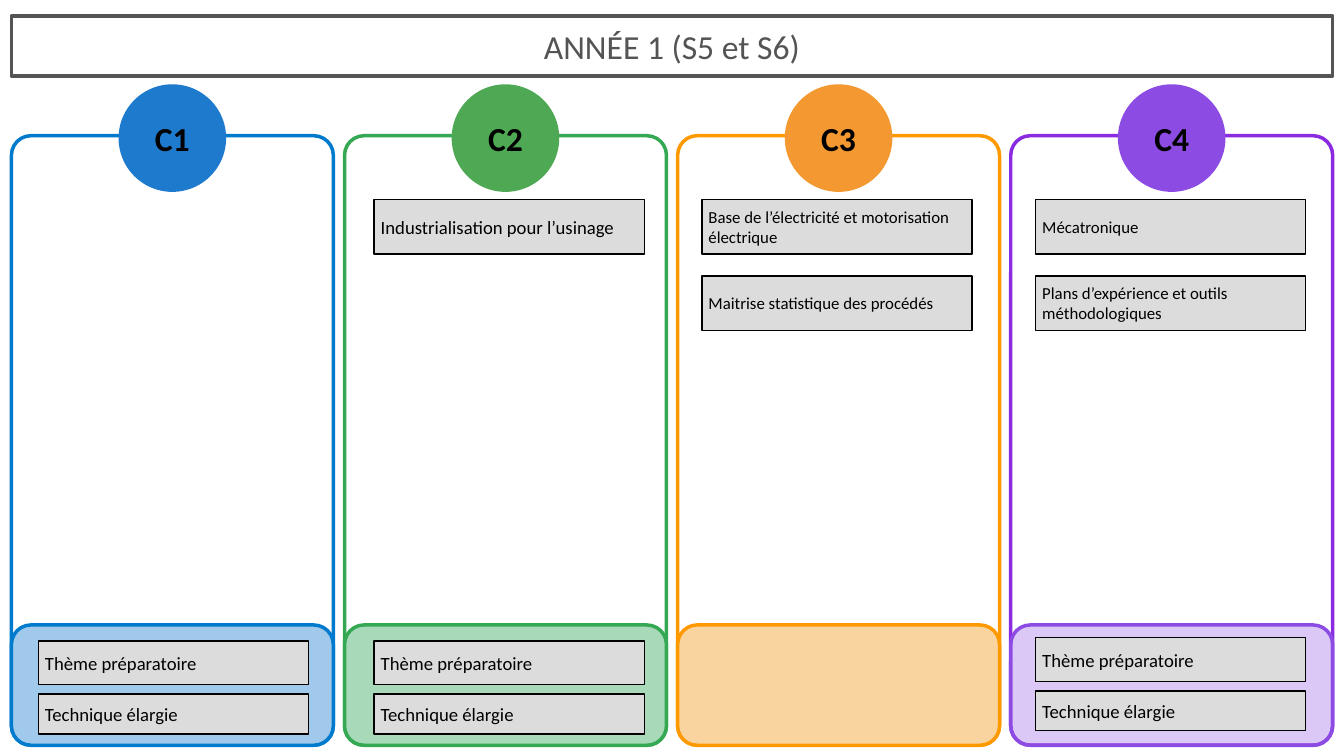
from lxml import etree
from pptx import Presentation
from pptx import util as u
from pptx.dml.color import RGBColor
from pptx.enum import shapes, text
from pptx.oxml.ns import qn

COLORS = {
    "title": "545454",
    "text": "000000",
    "card": "DDDCDC",
    "card_line": "000000",
}
COLUMNS = [
    {"name": "C1", "frame": "007ACC", "badge": "1E7ACC", "base": "A0C9EB", "card_inset": 0.4},
    {"name": "C2", "frame": "34A853", "badge": "4FA954", "base": "A8DAB9", "card_inset": 0.44,
     "courses": [("Industrialisation pour l’usinage", 20)]},
    {"name": "C3", "frame": "FF9900", "badge": "F49831", "base": "FAD49E", "card_inset": 0.36,
     "courses": [("Base de l’électricité et motorisation électrique", 18),
                 ("Maitrise statistique des procédés", 18)]},
    {"name": "C4", "frame": "8A2BE2", "badge": "8C4BE2", "base": "8C4BE2", "card_inset": 0.37,
     "base_line": "8C4BE2", "base_alpha": 30,
     "courses": [("Mécatronique", 18),
                 ("Plans d’expérience et outils méthodologiques", 18)]},
]
THEMES = [("Thème préparatoire", 0, 0.65), ("Technique élargie", 0.79, 0.59)]
THEME_TOPS = {"C1": 9.54, "C2": 9.54, "C4": 9.49}

SLIDE_WIDTH, SLIDE_HEIGHT = 20, 11.25
MARGIN = 0.17
COLUMN_PITCH = 4.957
COLUMN_WIDTH = 4.79
COLUMN_TOP, BASE_TOP, COLUMN_BOTTOM = 2.02, 9.3, 11.09
CORNER_RADIUS = 0.29
BADGE_SIZE = 1.57
CARD_WIDTH, CARD_HEIGHT = 4.02, 0.81
COURSE_TOP, COURSE_PITCH = 2.97, 1.135


def add_box(slide, kind, left, top, width, height, line, weight, fill=None, alpha=None):
    shape = slide.shapes.add_shape(
        kind, u.Inches(left), u.Inches(top), u.Inches(width), u.Inches(height))
    shape.shadow.inherit = False
    shape.line.color.rgb = RGBColor.from_string(line)
    shape.line.width = u.Pt(weight)
    if fill:
        shape.fill.solid()
        shape.fill.fore_color.rgb = RGBColor.from_string(fill)
    else:
        shape.fill.background()
    if alpha:
        color = shape.fill._xPr.find(qn("a:solidFill"))[0]
        etree.SubElement(color, qn("a:alpha")).set("val", str(alpha * 1000))
    return shape


def add_rounded_box(slide, left, top, height, line, **style):
    shape = add_box(slide, shapes.MSO_SHAPE.ROUNDED_RECTANGLE,
                    left, top, COLUMN_WIDTH, height, line, 3.75, **style)
    shape.adjustments[0] = CORNER_RADIUS / min(COLUMN_WIDTH, height)


def write_text(shape, content, size=20, color="text", bold=False,
               align=text.PP_ALIGN.LEFT, inset=None):
    frame = shape.text_frame
    frame.word_wrap = True
    frame.vertical_anchor = text.MSO_ANCHOR.MIDDLE
    if inset is not None:
        frame.margin_left = frame.margin_right = u.Inches(inset)
        frame.margin_top = frame.margin_bottom = u.Inches(inset)
    paragraph = frame.paragraphs[0]
    paragraph.alignment = align
    run = paragraph.add_run()
    run.text = content
    run.font.name = "Calibri"
    run.font.size = u.Pt(size)
    run.font.bold = bold
    run.font.color.rgb = RGBColor.from_string(COLORS[color])


def add_title(slide, content):
    shape = add_box(slide, shapes.MSO_SHAPE.RECTANGLE, MARGIN, 0.24,
                    SLIDE_WIDTH - 2 * MARGIN, 0.89, COLORS["title"], 3.75)
    write_text(shape, content, size=36, color="title", align=text.PP_ALIGN.CENTER)


def add_badge(slide, column, left):
    shape = add_box(slide, shapes.MSO_SHAPE.OVAL,
                    left + (COLUMN_WIDTH - BADGE_SIZE) / 2, 1.27,
                    BADGE_SIZE, BADGE_SIZE, column["badge"], 2.25, fill=column["badge"])
    write_text(shape, column["name"], size=36, bold=True,
               align=text.PP_ALIGN.CENTER, inset=0)


def add_card(slide, content, left, top, height, size=20):
    shape = add_box(slide, shapes.MSO_SHAPE.RECTANGLE, left, top, CARD_WIDTH, height,
                    COLORS["card_line"], 1.5, fill=COLORS["card"])
    write_text(shape, content, size=size)


def add_column(slide, column, left):
    add_rounded_box(slide, left, COLUMN_TOP, COLUMN_BOTTOM - COLUMN_TOP, column["frame"])
    add_badge(slide, column, left)
    add_rounded_box(slide, left, BASE_TOP, COLUMN_BOTTOM - BASE_TOP,
                    column.get("base_line", column["frame"]),
                    fill=column["base"], alpha=column.get("base_alpha"))
    card_left = left + column["card_inset"]
    for row, (course, size) in enumerate(column.get("courses", [])):
        add_card(slide, course, card_left, COURSE_TOP + row * COURSE_PITCH, CARD_HEIGHT, size)
    if column["name"] in THEME_TOPS:
        for theme, offset, height in THEMES:
            add_card(slide, theme, card_left, THEME_TOPS[column["name"]] + offset, height)


def main():
    presentation = Presentation()
    presentation.slide_width = u.Inches(SLIDE_WIDTH)
    presentation.slide_height = u.Inches(SLIDE_HEIGHT)
    slide = presentation.slides.add_slide(presentation.slide_layouts[6])
    add_title(slide, "ANNÉE 1 (S5 et S6)")
    for index, column in enumerate(COLUMNS):
        add_column(slide, column, MARGIN + index * COLUMN_PITCH)
    presentation.save("out.pptx")


if __name__ == "__main__":
    main()
